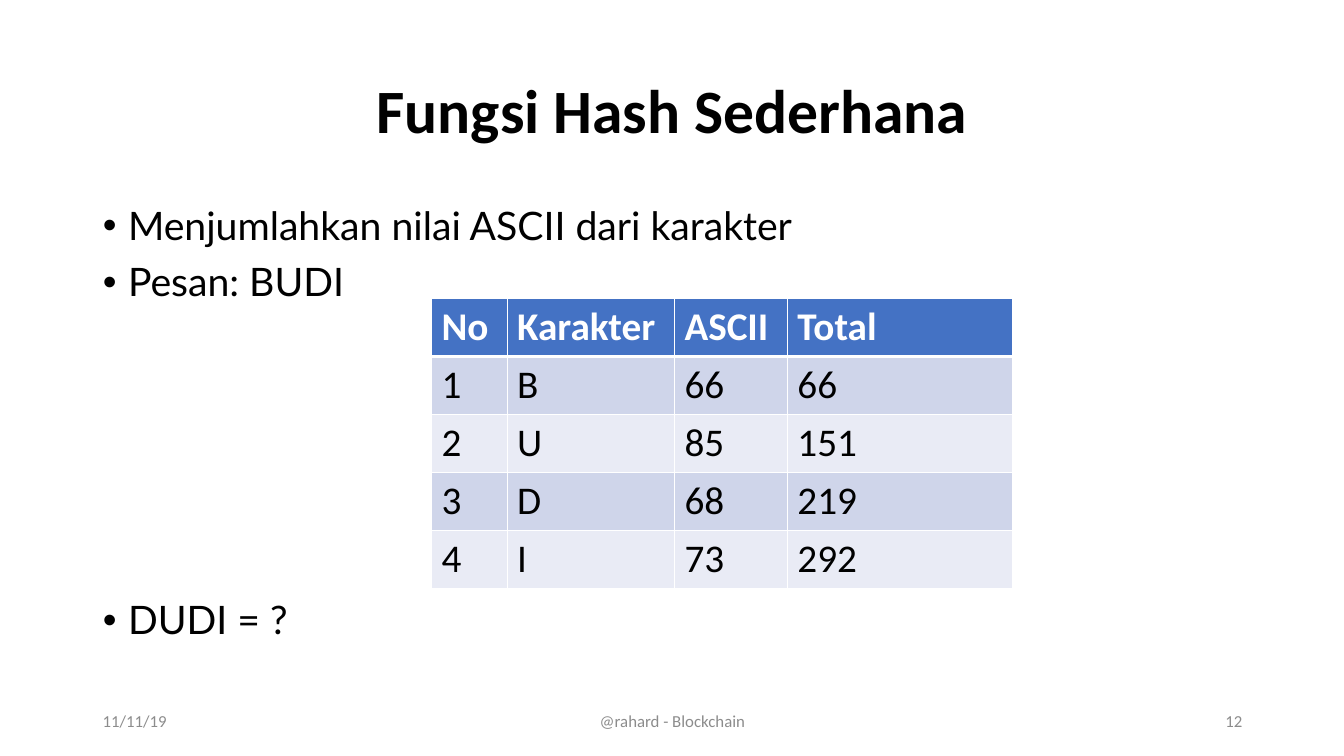
from lxml import etree
from pptx import Presentation
from pptx.dml.color import RGBColor
from pptx.enum.text import MSO_ANCHOR, MSO_AUTO_SIZE, PP_ALIGN
from pptx.oxml.ns import qn
from pptx.util import Inches, Pt

LEFT, CENTER, RIGHT = PP_ALIGN.LEFT, PP_ALIGN.CENTER, PP_ALIGN.RIGHT
MIDDLE, TOP = MSO_ANCHOR.MIDDLE, MSO_ANCHOR.TOP
NO_FIT = MSO_AUTO_SIZE.NONE

THEME = {
    "title": {"name": "Calibri", "size": Pt(44), "bold": True, "color": "000000"},
    "bullet": {"name": "Lato", "size": Pt(28), "bold": False, "color": "000000"},
    "header": {"name": "Calibri", "size": Pt(28), "bold": True, "color": "FFFFFF"},
    "cell": {"name": "Calibri", "size": Pt(28), "bold": False, "color": "000000"},
    "footer": {"name": "Calibri", "size": Pt(12), "bold": False, "color": "8C8C8C"},
    "header_fill": "4472C4",
    "band_fills": ("E9EBF5", "CFD5EA"),
    "border": "FFFFFF",
}
MARGIN, CONTENT_WIDTH = 0.92, 11.5


def write(paragraph, text, style, align=LEFT):
    paragraph.text = text
    paragraph.alignment = align
    for attribute, value in THEME[style].items():
        if attribute == "color":
            paragraph.font.color.rgb = RGBColor.from_string(value)
        else:
            setattr(paragraph.font, attribute, value)


def place(shape, left, top, width, height, anchor):
    shape.left, shape.top = Inches(left), Inches(top)
    shape.width, shape.height = Inches(width), Inches(height)
    frame = shape.text_frame
    frame.word_wrap, frame.auto_size = True, NO_FIT
    frame.vertical_anchor = anchor
    return frame


deck = Presentation()
deck.slide_width, deck.slide_height = Inches(13.33), Inches(7.5)
slide = deck.slides.add_slide(deck.slide_layouts[1])

# Title
heading = place(slide.shapes.title, MARGIN, 0.4, CONTENT_WIDTH, 1.45, MIDDLE).paragraphs[0]
write(heading, "Fungsi Hash Sederhana", "title", CENTER)
heading.line_spacing = 0.9

# Bullets; the last one is spaced to fall below the table
bullets = [
    ("Menjumlahkan nilai ASCII dari karakter", 10),
    ("Pesan: BUDI", 10),
    ("DUDI = ?", 211),
]
points = place(slide.placeholders[1], MARGIN, 2, CONTENT_WIDTH, 4.76, TOP)
for index, (text, space_before) in enumerate(bullets):
    point = points.paragraphs[0] if index == 0 else points.add_paragraph()
    write(point, text, "bullet")
    point.line_spacing = 0.9
    point.space_before = Pt(space_before)
    properties = point._p.get_or_add_pPr()
    properties.set("marL", str(Inches(0.25)))
    properties.set("indent", str(Inches(-0.25)))

# Running sum of the character codes
message = "BUDI"
hash_rows = [("No", "Karakter", "ASCII", "Total")]
total = 0
for number, letter in enumerate(message, 1):
    total += ord(letter)
    hash_rows.append((number, letter, ord(letter), total))

column_widths = (0.75, 1.66, 1.12, 2.23)
row_height = 0.57
hash_table = slide.shapes.add_table(
    len(hash_rows), len(column_widths), Inches(4.28), Inches(2.96),
    Inches(sum(column_widths)), Inches(row_height * len(hash_rows))).table
for column, width in zip(hash_table.columns, column_widths):
    column.width = Inches(width)

for r, values in enumerate(hash_rows):
    hash_table.rows[r].height = Inches(row_height)
    fill = THEME["band_fills"][r % 2] if r else THEME["header_fill"]
    # A thick rule separates the header from the rows
    borders = {"lnL": 1, "lnR": 1, "lnT": 3 if r == 1 else 1, "lnB": 3 if r == 0 else 1}
    for c, value in enumerate(values):
        cell = hash_table.cell(r, c)
        write(cell.text_frame.paragraphs[0], str(value), "cell" if r else "header")
        for side, weight in borders.items():
            line = etree.SubElement(cell._tc.get_or_add_tcPr(), qn(f"a:{side}"), w=str(Pt(weight)))
            solid = etree.SubElement(line, qn("a:solidFill"))
            etree.SubElement(solid, qn("a:srgbClr"), val=THEME["border"])
        cell.fill.solid()
        cell.fill.fore_color.rgb = RGBColor.from_string(fill)

# Footer: date, source and page number
footers = [
    ("11/11/19", MARGIN, 3, LEFT),
    ("@rahard - Blockchain", 4.42, 4.5, CENTER),
    ("12", 9.42, 3, RIGHT),
]
for text, left, width, align in footers:
    footer = place(slide.shapes.add_textbox(0, 0, 0, 0), left, 6.95, width, 0.4, MIDDLE)
    write(footer.paragraphs[0], text, "footer", align)

deck.save("out.pptx")
